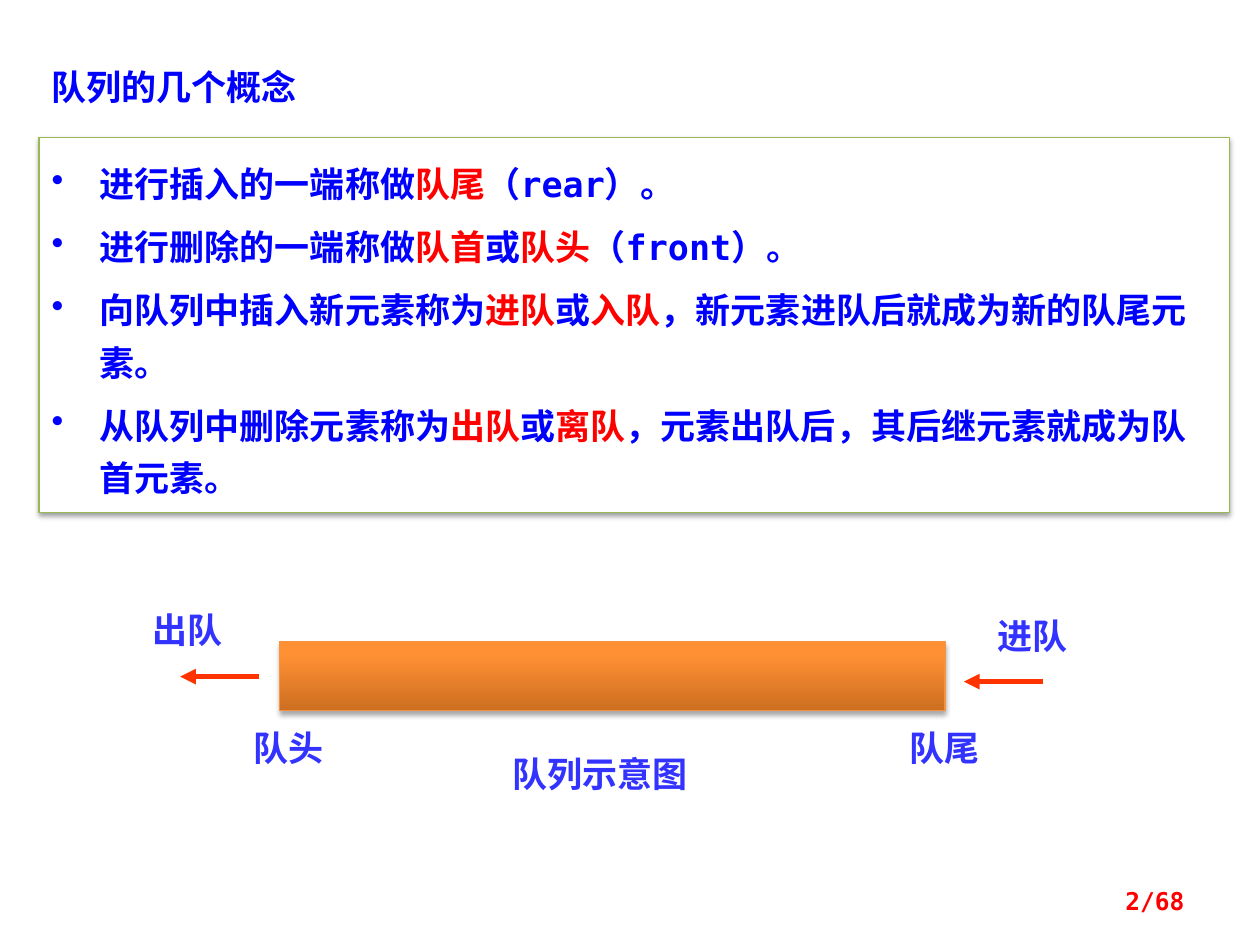
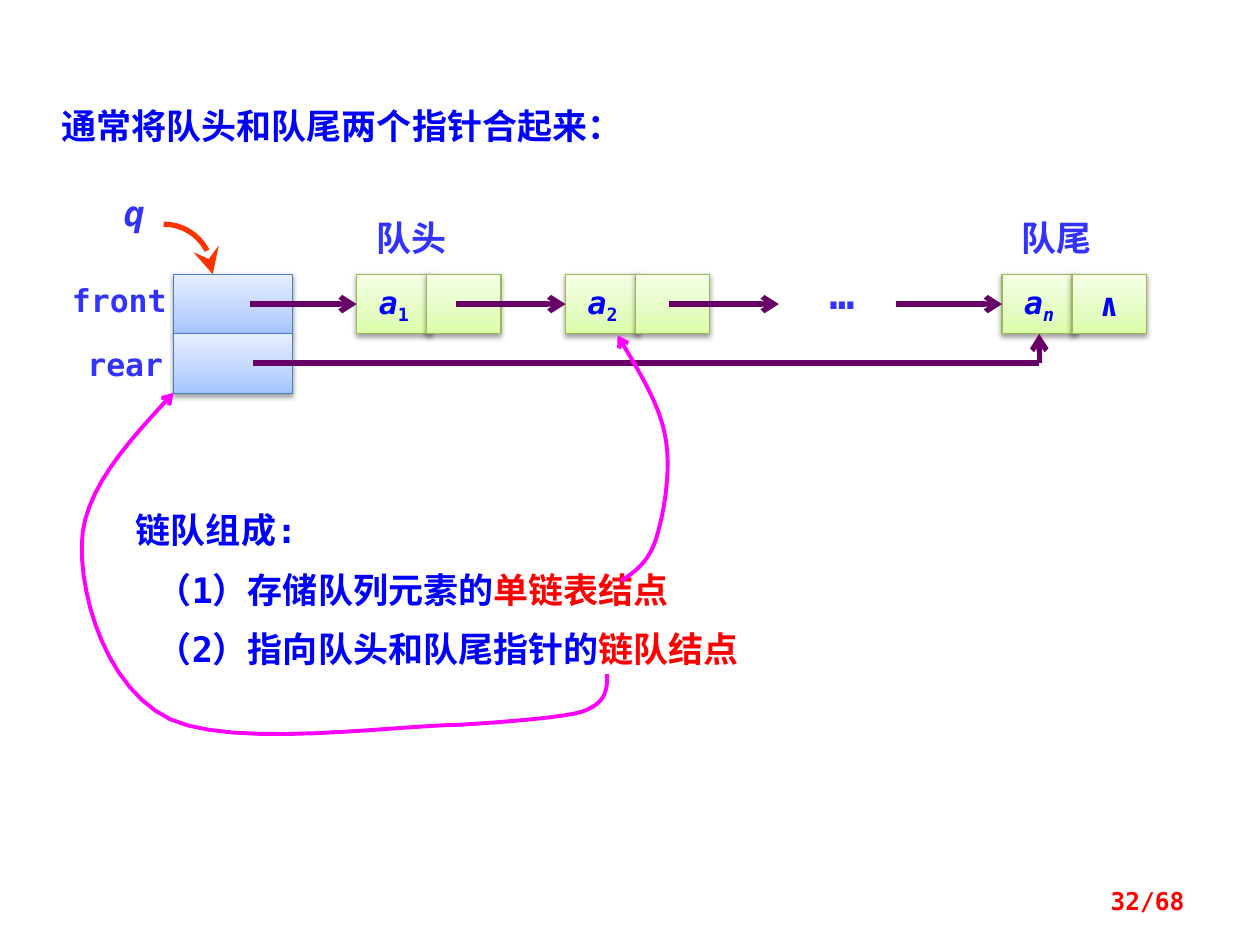
from lxml import etree
from pptx import Presentation
from pptx.dml.color import RGBColor
from pptx.enum.shapes import MSO_CONNECTOR, MSO_SHAPE
from pptx.enum.text import MSO_ANCHOR, MSO_AUTO_SIZE, PP_ALIGN
from pptx.oxml.ns import qn
from pptx.util import Cm, Pt

RECT = MSO_SHAPE.RECTANGLE
STRAIGHT = MSO_CONNECTOR.STRAIGHT
LEFT, CENTER, RIGHT, JUSTIFY = PP_ALIGN.LEFT, PP_ALIGN.CENTER, PP_ALIGN.RIGHT, PP_ALIGN.JUSTIFY
TOP, MIDDLE = MSO_ANCHOR.TOP, MSO_ANCHOR.MIDDLE
GROW = MSO_AUTO_SIZE.SHAPE_TO_FIT_TEXT

MONO, CJK = "DejaVu Sans Mono", "Noto Sans CJK SC"
COLORS = {
    "text": "0000FF", "key": "FF0000", "label": "3333FF", "white": "FFFFFF",
    "green": "98B955", "blue": "4B7EBC", "orange": "F69240",
    "move": "FF3300", "pointer": "660066", "note": "FF00FF", "shadow": "000000",
}
GRADIENTS = {  # position in percent and colour, from bottom to top
    "orange": [(0, "CC6E20"), (80, "FF9034"), (100, "FF9136")],
    "blue": [(0, "A4C4FF"), (35, "BFD4FF"), (100, "E6EEFF")],
    "green": [(0, "DAFDA7"), (35, "E4FCC2"), (100, "F5FFE7")],
}


def rgb(name):
    return RGBColor.from_string(COLORS[name])


def add(parent, tag, **attrs):
    return etree.SubElement(parent, qn(tag), {k: str(v) for k, v in attrs.items()})


class Deck:
    def __init__(self):
        self.prs = Presentation()
        self.prs.slide_width, self.prs.slide_height = Cm(25.4), Cm(19.05)
        self.s = None

    def slide(self, number):
        self.s = self.prs.slides.add_slide(self.prs.slide_layouts[6])
        tf = self.text(18.21, 17.65, 5.92, 1.02, number, "key", 14, RIGHT, grow=False)
        tf.vertical_anchor = MIDDLE

    def paragraph(self, p, text, color="text", size=20, align=LEFT, font=MONO, italic=False):
        """Fill a paragraph; parts between bars are key terms."""
        p.alignment = align
        p.font.name, p.font.size = font, Pt(size)
        p.font.bold, p.font.italic = True, italic
        p.font.color.rgb = rgb(color)
        for i, part in enumerate(text.split("|")):
            if part:
                r = p.add_run()
                r.text = part
                if i % 2:
                    r.font.color.rgb = rgb("key")

    def text(self, x, y, w, h, text, color="label", size=20, align=CENTER,
             font=MONO, italic=False, grow=True):
        tf = self.s.shapes.add_textbox(Cm(x), Cm(y), Cm(w), Cm(h)).text_frame
        tf.word_wrap = True
        if grow:
            tf.auto_size = GROW
        self.paragraph(tf.paragraphs[0], text, color, size, align, font, italic)
        return tf

    def rect(self, x, y, w, h, line, gradient=None, alpha=38, drop=1.6):
        sp = self.s.shapes.add_shape(RECT, Cm(x), Cm(y), Cm(w), Cm(h))
        if gradient:
            sp.fill.gradient()
            sp.fill.gradient_angle = 90
            stops = sp._element.spPr.find(".//" + qn("a:gsLst"))
            for gs in list(stops):
                stops.remove(gs)
            for pos, color in GRADIENTS[gradient]:
                add(add(stops, "a:gs", pos=pos * 1000), "a:srgbClr", val=color)
        else:
            sp.fill.solid()
            sp.fill.fore_color.rgb = rgb("white")
        sp.line.color.rgb, sp.line.width = rgb(line), Pt(0.75)
        sp.shadow.inherit = False
        effects = sp._element.spPr.find(qn("a:effectLst"))
        outer = add(effects, "a:outerShdw", blurRad=Pt(3.1), dist=Pt(drop),
                    dir=5400000, rotWithShape=0)
        add(add(outer, "a:srgbClr", val=COLORS["shadow"]), "a:alpha", val=alpha * 1000)
        return sp

    def node(self, x, y, w, h, text="", sub="", italic_sub=False):
        sp = self.rect(x, y, w, h, "green", "green")
        if text:
            tf = sp.text_frame
            tf.word_wrap, tf.vertical_anchor = False, MIDDLE
            p = tf.paragraphs[0]
            self.paragraph(p, text, size=18, align=CENTER, italic=bool(sub))
            if sub:
                r = p.add_run()
                r.text, r.font.italic = sub, italic_sub
                r._r.get_or_add_rPr().set("baseline", "-25000")
        return sp

    def stroke(self, shape, color, width, head, size="med"):
        shape.line.color.rgb, shape.line.width = rgb(color), Pt(width)
        if head:
            ln = shape._element.spPr.find(qn("a:ln"))
            add(ln, "a:tailEnd", type=head, w=size, len=size)

    def line(self, x1, y1, x2, y2, color, head=None, target=None, site=1):
        c = self.s.shapes.add_connector(STRAIGHT, Cm(x1), Cm(y1), Cm(x2), Cm(y2))
        self.stroke(c, color, 3, head)
        add(c._element.spPr, "a:effectLst")
        if target is not None:
            c.end_connect(target, site)

    def curve(self, start, beziers, color, width, head, size="med", steps=12):
        """Draw cubic segments, each given as two controls and an end."""
        points, a = [], start
        for b, c, d in beziers:
            for t in (i / steps for i in range(1, steps + 1)):
                u = 1 - t
                points.append(tuple(
                    Cm(u**3 * a[k] + 3 * u * u * t * b[k] + 3 * u * t * t * c[k] + t**3 * d[k])
                    for k in (0, 1)))
            a = d
        fb = self.s.shapes.build_freeform(Cm(start[0]), Cm(start[1]))
        fb.add_line_segments(points, close=False)
        sp = fb.convert_to_shape()
        sp.fill.background()
        sp.shadow.inherit = False
        self.stroke(sp, color, width, head, size)

    def bullets(self, sp, items):
        tf = sp.text_frame
        tf.word_wrap, tf.auto_size = True, GROW
        tf.vertical_anchor = TOP
        tf.margin_top = tf.margin_bottom = Cm(0.3)
        for i, item in enumerate(items):
            p = tf.add_paragraph() if i else tf.paragraphs[0]
            pPr = p._p.get_or_add_pPr()
            pPr.set("marL", str(Cm(0.97)))
            pPr.set("indent", str(-Cm(0.97)))
            add(pPr, "a:buChar", char="•")
            p.line_spacing = Pt(30)
            if i:
                p.space_before = Pt(6)
            self.paragraph(p, item)


def concepts(d):
    d.slide("2/68")
    d.text(0.79, 1.19, 6.35, 1.12, "队列的几个概念", "text", align=LEFT, font=CJK)
    d.bullets(d.rect(0.79, 2.77, 24, 7.57, "green"), [
        "进行插入的一端称做|队尾|（rear）。",
        "进行删除的一端称做|队首|或|队头|（front）。",
        "向队列中插入新元素称为|进队|或|入队|，新元素进队后就成为新的队尾元素。",
        "从队列中删除元素称为|出队|或|离队|，元素出队后，其后继元素就成为队首元素。",
    ])

    # Queue diagram
    d.rect(5.64, 12.93, 13.41, 1.4, "orange", "orange", alpha=35, drop=1.8)
    for x, y, w, label in [(17.83, 14.53, 2.41, "队尾"), (4.62, 14.53, 2.41, "队头"),
                           (9.32, 15.04, 5.56, "队列示意图"),
                           (2.59, 12.14, 2.39, "出队"), (19.63, 12.27, 2.39, "进队")]:
        d.text(x, y, w, 1.12, label)
    for x, y in [(5.23, 13.64), (21.03, 13.74)]:
        d.line(x, y, x - 1.6, y, "move", "triangle")


def linked_queue(d):
    d.slide("32/68")
    d.text(0.99, 1.98, 14.68, 1.12, "通常将队头和队尾两个指针合起来：", "text", align=LEFT)

    # Head cell and nodes
    top, height, width, step = 5.53, 1.2, 1.5, 1.41
    for row in range(2):
        d.rect(3.5, top + row * height, 2.4, height, "blue", "blue")
    nodes = []
    for x, sub, link in [(7.19, "1", ""), (11.4, "2", ""), (20.2, "n", "∧")]:
        nodes.append(d.node(x, top, width, height, "a", sub, sub == "n"))
        d.node(x + step, top, width, height, link)

    # Pointers
    mid, rear_y, rear_x = top + height / 2, 7.32, 20.95
    for x1, x2, target in [(5.03, 7.19, nodes[0]), (9.2, 11.4, nodes[1]),
                           (13.49, 15.7, None), (18.06, 20.2, nodes[2])]:
        d.line(x1, mid, x2, mid, "pointer", "arrow", target)
    d.line(rear_x, rear_y, rear_x, top + height, "pointer", "arrow", nodes[2], 2)
    d.line(5.1, rear_y, rear_x, rear_y, "pointer")
    d.curve((3.3, 4.52), [((3.86, 4.52), (4.29, 4.98), (4.29, 5.53))],
            "move", 3, "stealth", "lg")

    # Labels
    d.text(15.77, 5.26, 2.41, 1.27, "…", size=24)
    d.text(2.11, 3.73, 1.19, 1.12, "q", italic=True)
    for x, label in [(6.91, "队头"), (19.91, "队尾")]:
        d.text(x, 4.24, 2.79, 1.12, label)
    d.text(1.07, 5.54, 2.67, 1.02, "front", size=18)
    d.text(1.42, 6.83, 2.21, 1.02, "rear", size=18)

    # Parts of the linked queue
    tf = d.text(2.49, 10.13, 14.17, 3.68, "链队组成:", "text", align=JUSTIFY)
    for item in ["（1）存储队列元素的|单链表结点", "（2）指向队头和队尾指针的|链队结点"]:
        p = tf.add_paragraph()
        pPr = p._p.get_or_add_pPr()
        pPr.set("marL", str(Cm(0.42)))
        add(add(pPr, "a:spcBef"), "a:spcPct", val=50000)
        d.paragraph(p, item, align=JUSTIFY)
    d.curve((12.52, 11.71), [
        ((12.8, 11.53), (13.08, 11.33), (13.23, 10.85)),
        ((13.39, 10.34), (13.54, 9.45), (13.41, 8.79)),
        ((13.28, 8.1), (12.85, 7.44), (12.45, 6.76)),
    ], "note", 2.25, "arrow")
    d.curve((12.24, 13.59), [
        ((12.24, 13.89), (12.24, 14.17), (11.73, 14.35)),
        ((11.25, 14.5), (9.3, 14.61), (9.3, 14.61)),
        ((7.9, 14.63), (4.72, 15.09), (3.43, 14.5)),
        ((2.16, 13.89), (1.63, 12.09), (1.65, 11)),
        ((1.65, 9.91), (2.57, 8.92), (3.5, 7.92)),
    ], "note", 2.25, "arrow")


def main():
    d = Deck()
    concepts(d)
    linked_queue(d)
    d.prs.save("out.pptx")


if __name__ == "__main__":
    main()
